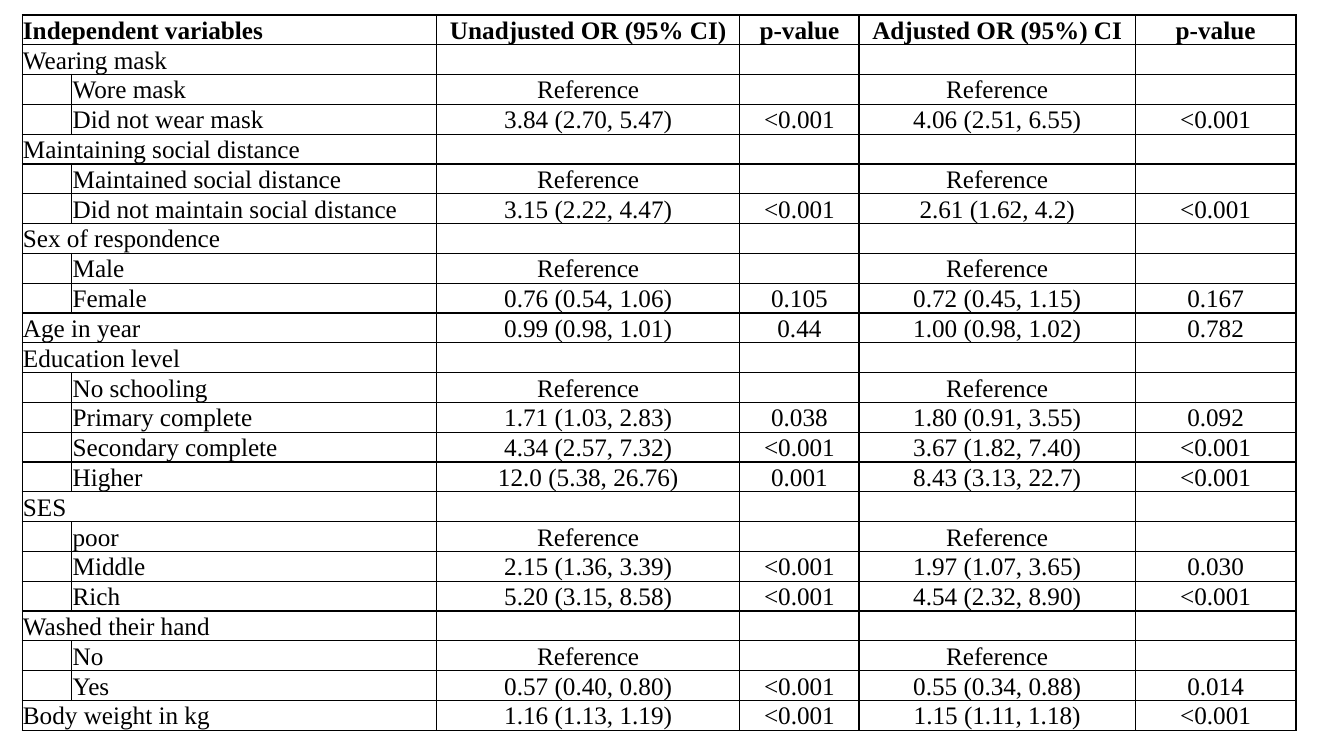
from dataclasses import dataclass

from lxml import etree
from pptx import Presentation
from pptx.dml.color import RGBColor
from pptx.enum.text import MSO_ANCHOR, PP_ALIGN
from pptx.oxml.ns import qn
from pptx.util import Pt

LEFT, MID = PP_ALIGN.LEFT, PP_ALIGN.CENTER
BOTTOM = MSO_ANCHOR.BOTTOM


@dataclass(frozen=True)
class Theme:
    ink: str = "000000"
    face: str = "Times New Roman"
    size: float = 18
    rule: float = 1
    pad: float = 0.6


THEME = Theme()
BOX = (15.8, 10.7, 910, 511.2)
WIDTHS = (35.5, 260.6, 216.6, 85.2, 197.3, 114.8)
HEAD = ("Independent variables", "Unadjusted OR (95% CI)", "p-value",
        "Adjusted OR (95%) CI", "p-value")
NONE = ("",) * 4
REF = ("Reference", "", "Reference", "")

# Each group: its name, its own values, then its levels.
GROUPS = (
    ("Wearing mask", NONE, (
        ("Wore mask", *REF),
        ("Did not wear mask", "3.84 (2.70, 5.47)", "<0.001", "4.06 (2.51, 6.55)", "<0.001"))),
    ("Maintaining social distance", NONE, (
        ("Maintained social distance", *REF),
        ("Did not maintain social distance", "3.15 (2.22, 4.47)", "<0.001",
         "2.61 (1.62, 4.2)", "<0.001"))),
    ("Sex of respondence", NONE, (
        ("Male", *REF),
        ("Female", "0.76 (0.54, 1.06)", "0.105", "0.72 (0.45, 1.15)", "0.167"))),
    ("Age in year", ("0.99 (0.98, 1.01)", "0.44", "1.00 (0.98, 1.02)", "0.782"), ()),
    ("Education level", NONE, (
        ("No schooling", *REF),
        ("Primary complete", "1.71 (1.03, 2.83)", "0.038", "1.80 (0.91, 3.55)", "0.092"),
        ("Secondary complete", "4.34 (2.57, 7.32)", "<0.001", "3.67 (1.82, 7.40)", "<0.001"),
        ("Higher", "12.0 (5.38, 26.76)", "0.001", "8.43 (3.13, 22.7)", "<0.001"))),
    ("SES", NONE, (
        ("poor", *REF),
        ("Middle", "2.15 (1.36, 3.39)", "<0.001", "1.97 (1.07, 3.65)", "0.030"),
        ("Rich", "5.20 (3.15, 8.58)", "<0.001", "4.54 (2.32, 8.90)", "<0.001"))),
    ("Washed their hand", NONE, (
        ("No", *REF),
        ("Yes", "0.57 (0.40, 0.80)", "<0.001", "0.55 (0.34, 0.88)", "0.014"))),
    ("Body weight in kg", ("1.16 (1.13, 1.19)", "<0.001", "1.15 (1.11, 1.18)", "<0.001"), ()),
)


def list_rows():
    """Return (is a level, texts) for every row of the table."""
    rows = [(False, HEAD)]
    for name, vals, levels in GROUPS:
        rows.append((False, (name, *vals)))
        rows += [(True, level) for level in levels]
    return rows


def add_rules(cell):
    """Draw all four borders; call before the fill is set."""
    props = cell._tc.get_or_add_tcPr()
    for side in ("a:lnL", "a:lnR", "a:lnT", "a:lnB"):
        line = etree.SubElement(props, qn(side), w=str(Pt(THEME.rule)))
        fill = etree.SubElement(line, qn("a:solidFill"))
        etree.SubElement(fill, qn("a:srgbClr"), val=THEME.ink)


def style_cell(cell):
    cell.margin_left = cell.margin_right = cell.margin_top = Pt(THEME.pad)
    cell.margin_bottom = Pt(0)
    cell.vertical_anchor = BOTTOM
    add_rules(cell)
    cell.fill.background()


def write_cell(cell, text, align, bold):
    para = cell.text_frame.paragraphs[0]
    if not text:
        # An empty cell must not push its row taller.
        end = etree.SubElement(para._p, qn("a:endParaRPr"), sz=str(THEME.size * 100))
        etree.SubElement(end, qn("a:latin"), typeface=THEME.face)
        return
    para.alignment = align
    run = para.add_run()
    run.text = text
    font = run.font
    font.name, font.size, font.bold = THEME.face, Pt(THEME.size), bold
    font.color.rgb = RGBColor.from_string(THEME.ink)


def add_odds(slide, box):
    """Place the odds ratio table in the box."""
    rows = list_rows()
    left, top, width, height = box
    table = slide.shapes.add_table(len(rows), len(WIDTHS), Pt(left), Pt(top),
                                   Pt(width), Pt(height)).table
    table.first_row = table.horz_banding = False
    for col, size in zip(table.columns, WIDTHS):
        col.width = Pt(size * width / sum(WIDTHS))
    for r, (level, texts) in enumerate(rows):
        table.rows[r].height = Pt(height / len(rows))
        name, *vals = texts
        line = ("", name, *vals) if level else (name, "", *vals)
        for c, text in enumerate(line):
            cell = table.cell(r, c)
            style_cell(cell)
            write_cell(cell, text, LEFT if c < 2 else MID, r == 0)
        if not level:
            table.cell(r, 0).merge(table.cell(r, 1))


def main():
    deck = Presentation()
    deck.slide_width, deck.slide_height = Pt(960), Pt(540)
    slide = deck.slides.add_slide(deck.slide_layouts[6])
    add_odds(slide, BOX)
    deck.save("out.pptx")


if __name__ == "__main__":
    main()
